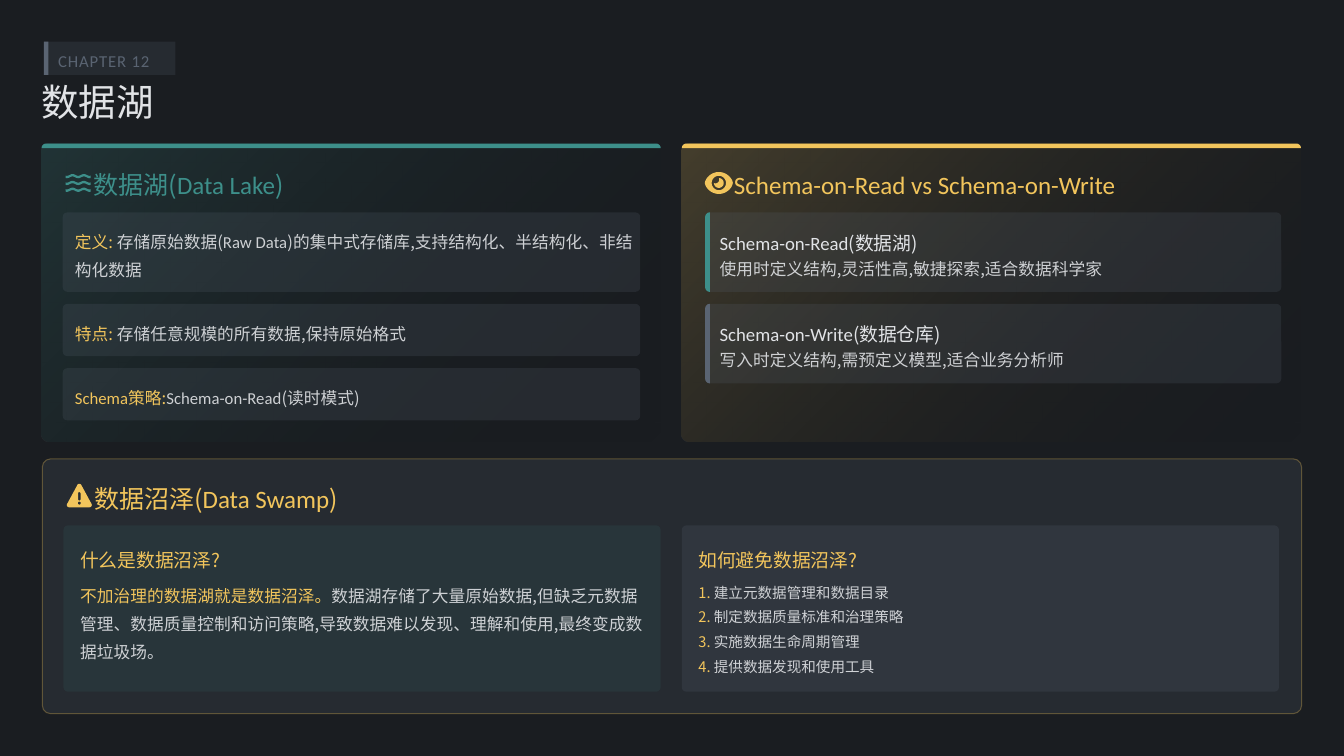
"""Build the data lake chapter slide."""
from math import cos, pi, radians, sin

from lxml import etree
from pptx import Presentation
from pptx.dml.color import RGBColor
from pptx.enum.shapes import MSO_SHAPE
from pptx.enum.text import MSO_ANCHOR, MSO_AUTO_SIZE, PP_ALIGN
from pptx.oxml.ns import qn
from pptx.util import Inches, Pt

RECT, ROUND = MSO_SHAPE.RECTANGLE, MSO_SHAPE.ROUNDED_RECTANGLE
MIDDLE, NO_FIT, LEFT = MSO_ANCHOR.MIDDLE, MSO_AUTO_SIZE.NONE, PP_ALIGN.LEFT
CJK, LATIN = "Noto Sans CJK SC", "Calibri"
COLORS = {"bg": "1A1D21", "slate": "5A6472", "light": "E1E3E6", "body": "E1E3E6",
          "teal": "3D8F8A", "gold": "F2C55C", "clear": "000000"}


def rgb(name):
    return RGBColor.from_string(COLORS[name])


def set_alpha(root, *values):
    for clr, value in zip(root.iter(qn("a:srgbClr")), values):
        etree.SubElement(clr, qn("a:alpha")).set("val", str(value * 1000))


def arc(cx, cy, rx, ry, start, end, steps=16):
    angles = [radians(start + (end - start) * i / steps) for i in range(steps + 1)]
    return [(cx + rx * cos(a), cy + ry * sin(a)) for a in angles]


class Deck:
    """Style and current slide, with one method per kind of element."""

    def __init__(self, prs):
        self.s = prs.slides.add_slide(prs.slide_layouts[5])
        self.s.background.fill.solid()
        self.s.background.fill.fore_color.rgb = rgb("bg")

    def add_runs(self, sp, runs, size, spacing, spc=None):
        tf = sp.text_frame
        tf.word_wrap, tf.auto_size, tf.vertical_anchor = True, NO_FIT, MIDDLE
        tf.margin_left = tf.margin_top = tf.margin_right = tf.margin_bottom = 0
        p = tf.paragraphs[0]
        p.alignment, p.line_spacing = LEFT, spacing
        for text, color, font in runs:
            r = p.add_run()
            r.text = text
            r.font.size, r.font.name = Pt(size), font
            r.font.color.rgb = rgb(color)
            if color == "body":
                set_alpha(r._r, 90)
            rPr = r._r.get_or_add_rPr()
            etree.SubElement(rPr, qn("a:ea")).set("typeface", font)
            if spc:
                rPr.set("spc", str(spc))

    def title(self, x, y, w, h, text):
        sp = self.s.shapes.title
        sp.left, sp.top, sp.width, sp.height = map(Inches, (x, y, w, h))
        self.add_runs(sp, [(text, "light", CJK)], 35.7, 0.9)

    def text(self, x, y, w, h, runs, size=15.9, spacing=1.2, spc=None):
        sp = self.s.shapes.add_textbox(*map(Inches, (x, y, w, h)))
        self.add_runs(sp, runs, size, spacing, spc)

    def box(self, x, y, w, h, color, alpha=100, radius=0.06, line=None, fade=False):
        sp = self.s.shapes.add_shape(ROUND if radius else RECT, *map(Inches, (x, y, w, h)))
        sp.shadow.inherit = False
        if radius:
            sp.adjustments[0] = radius / min(w, h)
        if fade:
            sp.fill.gradient()
            sp.fill.gradient_angle = 315
            for stop, name in zip(sp.fill.gradient_stops, (color, "clear")):
                stop.color.rgb = rgb(name)
        else:
            sp.fill.solid()
            sp.fill.fore_color.rgb = rgb(color)
        if line:
            sp.line.color.rgb = rgb(line)
            sp.line.width = Pt(1)
        else:
            sp.line.fill.background()
        set_alpha(sp._element.spPr, alpha, 0 if fade else 30)

    def outline(self, color, *contours):
        rings = [[(Inches(x), Inches(y)) for x, y in c] for c in contours]
        fb = self.s.shapes.build_freeform(*rings[0][0])
        fb.add_line_segments(rings[0][1:], close=True)
        for ring in rings[1:]:
            fb.move_to(*ring[0])
            fb.add_line_segments(ring[1:], close=True)
        sp = fb.convert_to_shape()
        sp.shadow.inherit = False
        sp.fill.solid()
        sp.fill.fore_color.rgb = rgb(color)
        sp.line.fill.background()

    def panel(self, x, color):
        y, w, r = 1.9, 8.19, 0.06
        self.box(x, y, w, 3.94, color, 20, 0.1, fade=True)
        self.outline(color, arc(x + r, y + r, r, r, 180, 270)
                     + arc(x + w - r, y + r, r, r, 270, 360))

    def side_bar(self, x, y, h, color):
        r = 0.06
        self.outline(color, arc(x + r, y + h - r, r, r, 90, 180)
                     + arc(x + r, y + r, r, r, 180, 270))

    def waves(self, x, y, color):
        xs = [0.33 * i / 40 for i in range(41)]
        curve = [(x + d, y + 0.012 * cos(2 * pi * (d - 0.015) / 0.15)) for d in xs]
        self.outline(color, *[
            [(a, b + row * 0.09 - 0.016) for a, b in curve]
            + [(a, b + row * 0.09 + 0.016) for a, b in reversed(curve)]
            for row in range(3)])

    def eye(self, cx, cy, color):
        lens = [(cx + a, cy + b * abs(b / 0.145) ** 0.25)
                for a, b in arc(0, 0, 0.185, 0.145, 0, 360, 48)]
        pupil = (arc(cx, cy, 0.065, 0.065, -90, 180)
                 + arc(cx - 0.045, cy - 0.045, 0.05, 0.05, 110, -20))
        self.outline(color, lens, arc(cx, cy, 0.095, 0.095, 0, 360, 32), pupil)

    def warning(self, cx, y, color):
        r = 0.03
        sign = (arc(cx, y + r, r, r, -150, -30) + arc(cx + 0.135, y + 0.28, r, r, -30, 90)
                + arc(cx - 0.135, y + 0.28, r, r, 90, 210))
        stem = (arc(cx, y + 0.125, 0.016, 0.016, 180, 360)
                + arc(cx, y + 0.205, 0.016, 0.016, 0, 180))
        self.outline(color, sign, stem, arc(cx, y + 0.255, 0.02, 0.02, 0, 360))


def main():
    prs = Presentation()
    prs.slide_width, prs.slide_height = Inches(17.78), Inches(10)
    d = Deck(prs)

    d.box(0.58, 0.55, 1.74, 0.44, "slate", 20, 0)
    d.box(0.58, 0.55, 0.06, 0.44, "slate", radius=0)
    d.text(0.77, 0.63, 1.49, 0.29, [("CHAPTER 12", "slate", LATIN)], spc=80)
    d.title(0.55, 1.1, 16.92, 0.55, "数据湖")

    d.panel(0.55, "teal")
    d.waves(0.87, 2.33, "teal")
    d.text(1.24, 2.2, 7.39, 0.44, [("数据湖(", "teal", CJK), ("Data Lake", "teal", LATIN),
                                   (")", "teal", CJK)], 23.8, 1.1)
    facts = [
        (2.81, 1.05, [("定义:", "gold", CJK), (" 存储原始数据(", "body", CJK),
                      ("Raw Data", "body", LATIN),
                      (")的集中式存储库,支持结构化、半结构化、非结构化数据", "body", CJK)]),
        (4.02, 0.69, [("特点:", "gold", CJK),
                      (" 存储任意规模的所有数据,保持原始格式", "body", CJK)]),
        (4.87, 0.69, [("Schema", "gold", LATIN), ("策略:", "gold", CJK),
                      ("Schema-on-Read", "body", LATIN), ("(读时模式)", "body", CJK)]),
    ]
    for y, h, runs in facts:
        d.box(0.83, y, 7.64, h, "slate", 20)
        d.text(0.99, y + 0.16, 7.42, h - 0.33, runs, spacing=1.4)

    d.panel(9.02, "gold")
    d.eye(9.51, 2.42, "gold")
    d.text(9.71, 2.2, 7.39, 0.44,
           [("Schema-on-Read vs Schema-on-Write", "gold", LATIN)], 23.8, 1.1)
    modes = [
        (2.81, "teal", "Schema-on-Read", "(数据湖)",
         "使用时定义结构,灵活性高,敏捷探索,适合数据科学家"),
        (4.02, "slate", "Schema-on-Write", "(数据仓库)",
         "写入时定义结构,需预定义模型,适合业务分析师"),
    ]
    for y, color, name, where, detail in modes:
        d.box(9.33, y, 7.62, 1.05, "slate", 20)
        d.side_bar(9.33, y, 1.05, color)
        d.text(9.52, y + 0.19, 3.3, 0.33,
               [(name, "light", LATIN), (where, "light", CJK)], 17.9, 1.3)
        d.text(9.52, y + 0.55, 7.37, 0.33, [(detail, "body", CJK)])

    d.box(0.56, 6.07, 16.66, 3.37, "slate", 20, 0.11, "gold")
    d.warning(1.05, 6.4, "gold")
    d.text(1.25, 6.35, 15.85, 0.44, [("数据沼泽(", "gold", CJK), ("Data Swamp", "gold", LATIN),
                                     (")", "gold", CJK)], 23.8, 1.1)
    questions = [(0.84, "teal", 10, "什么是数据沼泽?"), (9.02, "slate", 20, "如何避免数据沼泽?")]
    for x, color, alpha, question in questions:
        d.box(x, 6.95, 7.9, 2.2, color, alpha)
        d.text(x + 0.22, 7.17, 7.59, 0.39, [(question, "gold", CJK)], 17.9, 1.3)
    d.text(1.06, 7.67, 7.57, 1.07, [
        ("不加治理的数据湖就是数据沼泽。", "gold", CJK),
        ("数据湖存储了大量原始数据,但缺乏元数据管理、数据质量控制和访问策略,"
         "导致数据难以发现、理解和使用,最终变成数据垃圾场。", "body", CJK)], spacing=1.4)
    steps = ["建立元数据管理和数据目录", "制定数据质量标准和治理策略",
             "实施数据生命周期管理", "提供数据发现和使用工具"]
    for i, step in enumerate(steps):
        d.text(9.24, 7.67 + 0.33 * i, 7.56, 0.28,
               [(f"{i + 1}.", "gold", CJK), (f" {step}", "body", CJK)], 13.9)

    prs.save("out.pptx")


if __name__ == "__main__":
    main()
